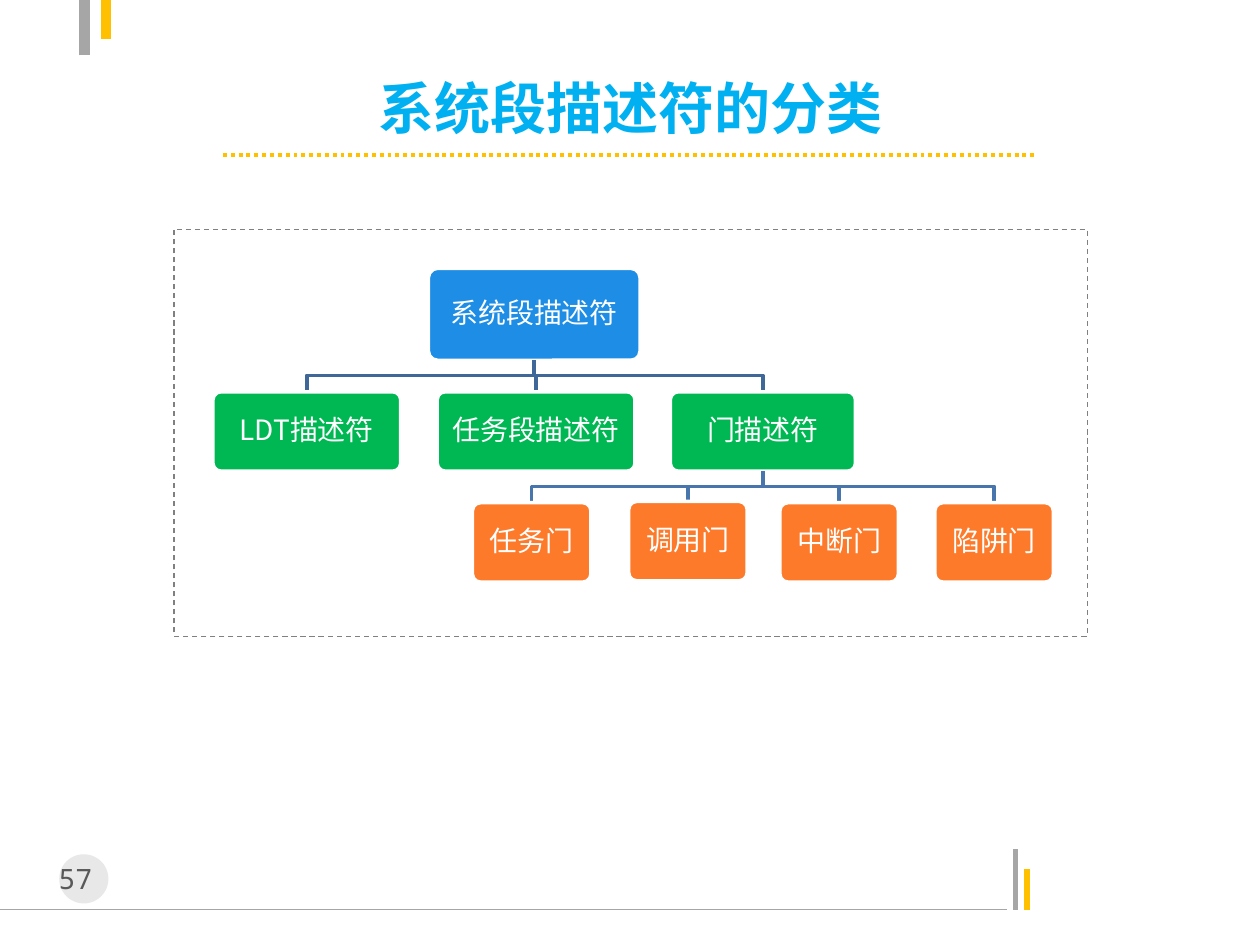
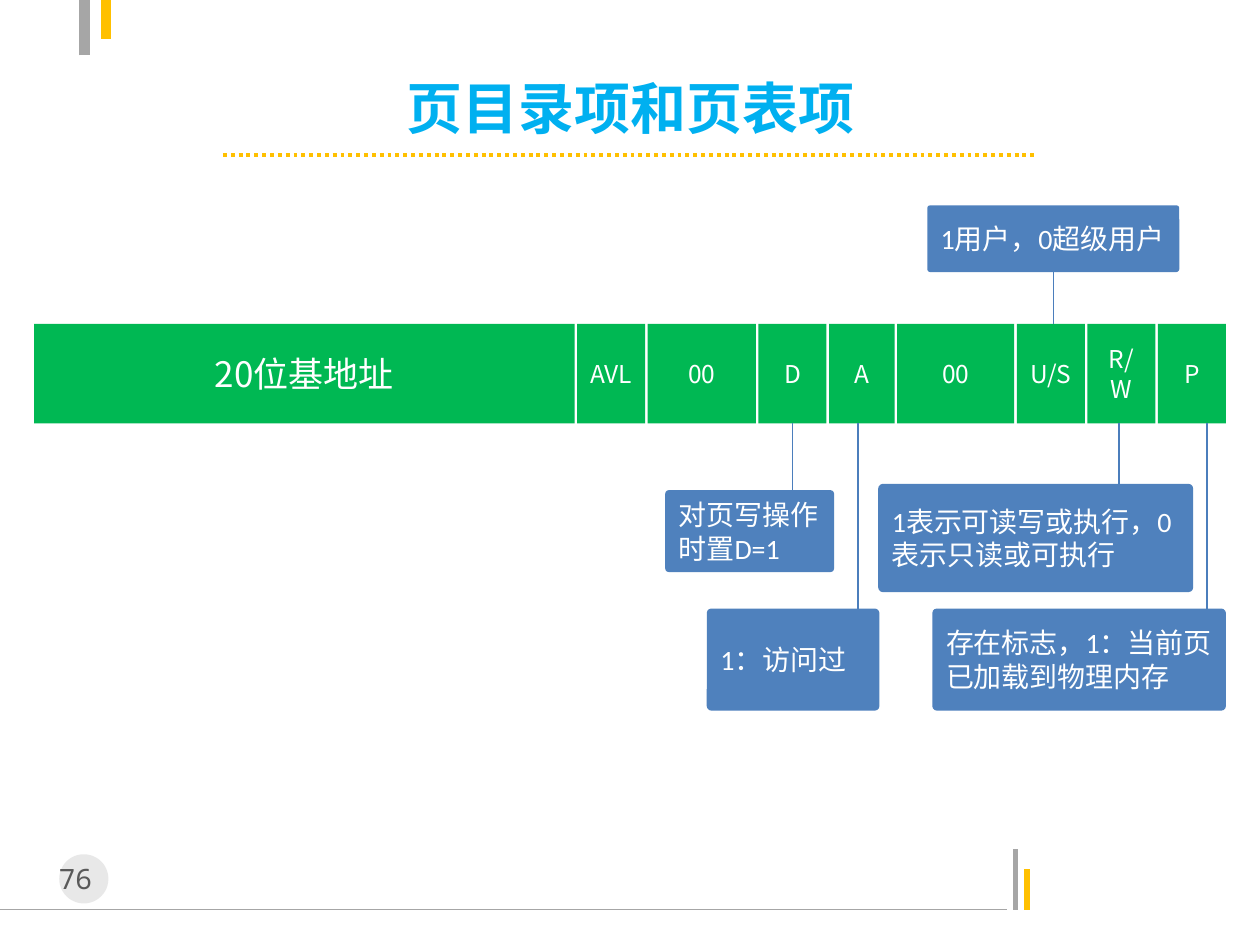
"""Build two slides: a tree of system segment descriptors and the fields of a page table entry."""
from lxml.etree import SubElement
from pptx import Presentation
from pptx.dml.color import RGBColor
from pptx.enum.dml import MSO_LINE as DASH
from pptx.enum.shapes import MSO_CONNECTOR as CONN, MSO_SHAPE as SHAPE
from pptx.enum.text import MSO_ANCHOR as ANCHOR, PP_ALIGN as ALIGN
from pptx.oxml.ns import qn
from pptx.util import Inches, Pt

WHITE = RGBColor(0xFF, 0xFF, 0xFF)
SILVER = RGBColor(0xA6, 0xA6, 0xA6)
DISC = RGBColor(0xBF, 0xBF, 0xBF)
FRAME = RGBColor(0x80, 0x80, 0x80)
PAGE_INK = RGBColor(0x59, 0x59, 0x59)
GOLD = RGBColor(0xFF, 0xC0, 0x00)
SKY = RGBColor(0x00, 0xB0, 0xF0)
BLUE = RGBColor(0x1D, 0x8D, 0xE5)
GREEN = RGBColor(0x00, 0xB8, 0x53)
ORANGE = RGBColor(0xFD, 0x7A, 0x2A)
BRANCH_DARK = RGBColor(0x3F, 0x67, 0x97)
BRANCH_LIGHT = RGBColor(0x48, 0x75, 0xAC)
NOTE_FILL = RGBColor(0x4F, 0x81, 0xBD)
NOTE_LINE = RGBColor(0x4B, 0x7E, 0xBC)

CJK, MONO, LATIN = "Noto Sans CJK SC", "Noto Sans Mono", "Calibri"

DECOR_LINES = [
    ((0, 7.22), (7.99, 7.22), SILVER, 0.75),
    ((8.06, 7.22), (8.06, 6.74), SILVER, 3),
    ((8.15, 7.22), (8.15, 6.9), GOLD, 3),
    ((0.67, 0.44), (0.67, 0), SILVER, 6),
    ((0.84, 0), (0.84, 0.31), GOLD, 6),
]

ROOT = ("系统段描述符", (3.4, 2.13, 1.68, 0.73))
KINDS = [
    ("LDT描述符", (1.69, 3.11, 1.49, 0.63)),
    ("任务段描述符", (3.47, 3.11, 1.57, 0.63)),
    ("门描述符", (5.32, 3.11, 1.47, 0.63)),
]
GATES = [
    ("任务门", (3.75, 3.99, 0.94, 0.63)),
    ("调用门", (4.99, 3.98, 0.94, 0.63)),
    ("中断门", (6.19, 3.99, 0.94, 0.63)),
    ("陷阱门", (7.42, 3.99, 0.94, 0.63)),
]
FRAME_BOX = (1.38, 1.82, 7.25, 3.23)
BRANCH_DROP = 0.12

FIELDS = [
    ("20位基地址", 4.29, 20), ("AVL", 0.54, 14), ("00", 0.86, 14),
    ("D", 0.54, 14), ("A", 0.52, 14), ("00", 0.93, 14),
    ("U/S", 0.54, 14), ("R/W", 0.54, 14), ("P", 0.54, 14),
]
FIELD_LEFT, FIELD_TOP, FIELD_HEIGHT, FIELD_GAP = 0.27, 2.57, 0.79, 0.02

NOTES = [
    ("存在标志，1：当前页已加载到物理内存", (7.4, 4.83, 2.33, 0.81), 9.58),
    ("1：访问过", (5.61, 4.83, 1.37, 0.81), 6.81),
    ("1用户，0超级用户", (7.36, 1.63, 2, 0.53), 8.36),
    ("对页写操作时置D=1", (5.28, 3.89, 1.34, 0.65), 6.29),
    ("1表示可读写或执行，0表示只读或可执行", (6.97, 3.84, 2.5, 0.86), 8.88),
]


def write(sp, text, size, color, font=CJK, align=ALIGN.CENTER, bold=False, spacing=None):
    p = sp.text_frame.paragraphs[0]
    p.alignment = align
    if spacing:
        p.line_spacing = spacing
    r = p.add_run()
    r.text = text
    f = r.font
    f.size, f.name, f.bold = Pt(size), font, bold
    f.color.rgb = color
    SubElement(f._element, qn("a:ea"), typeface=CJK)


def add_box(slide, kind, box, fill=None, line=None, width=1.0):
    sp = slide.shapes.add_shape(kind, *map(Inches, box))
    sp.shadow.inherit = False
    if fill is None:
        sp.fill.background()
    else:
        sp.fill.solid()
        sp.fill.fore_color.rgb = fill
    if line is None:
        sp.line.fill.background()
    else:
        sp.line.color.rgb = line
        sp.line.width = Pt(width)
    tf = sp.text_frame
    tf.word_wrap = True
    tf.vertical_anchor = ANCHOR.MIDDLE
    return sp


def add_line(slide, start, end, color, width):
    c = slide.shapes.add_connector(CONN.STRAIGHT, *map(Inches, start + end))
    c.line.color.rgb = color
    c.line.width = Pt(width)
    SubElement(c._element.spPr, qn("a:effectLst"))
    return c


def add_text(slide, box, wrap):
    sp = slide.shapes.add_textbox(*map(Inches, box))
    sp.text_frame.word_wrap = wrap
    return sp


def start_slide(prs, title, number):
    slide = prs.slides.add_slide(prs.slide_layouts[6])
    for spec_line in DECOR_LINES:
        add_line(slide, *spec_line)
    disc = add_box(slide, SHAPE.OVAL, (0.47, 6.78, 0.39, 0.39), DISC)
    SubElement(disc._element.spPr.find(".//" + qn("a:srgbClr")), qn("a:alpha"), val="35000")
    write(add_text(slide, (0.31, 6.79, 0.71, 0.37), True), f"{number} ", 16, PAGE_INK, MONO)
    heading = add_text(slide, (1.38, 0.6, 7.25, 0.5), False)
    heading.text_frame.vertical_anchor = ANCHOR.MIDDLE
    write(heading, title, 32, SKY, bold=True)
    add_line(slide, (1.77, 1.23), (8.23, 1.23), GOLD, 2.25).line.dash_style = DASH.ROUND_DOT
    return slide


def add_node(slide, node, fill):
    text, box = node
    sp = add_box(slide, SHAPE.ROUNDED_RECTANGLE, box, fill, WHITE, 2)
    sp.adjustments[0] = 0.1
    tf = sp.text_frame
    tf.margin_left = tf.margin_right = tf.margin_top = tf.margin_bottom = Inches(0.07)
    write(sp, text, 16, WHITE, spacing=0.9)


def add_branch(slide, parent, child, color):
    (px, py, pw, ph), (cx, cy, cw, _) = parent[1], child[1]
    x1, y1, x2 = px + pw / 2, py + ph, cx + cw / 2
    bend = y1 + BRANCH_DROP
    builder = slide.shapes.build_freeform(Inches(x1), Inches(y1))
    corners = [(x1, bend), (x2, bend), (x2, cy)]
    builder.add_line_segments([(Inches(x), Inches(y)) for x, y in corners], close=False)
    sp = builder.convert_to_shape()
    sp.shadow.inherit = False
    sp.fill.background()
    sp.line.color.rgb = color
    sp.line.width = Pt(2)


def build_tree(prs):
    slide = start_slide(prs, "系统段描述符的分类", 57)
    levels = [(ROOT, KINDS, BRANCH_DARK, GREEN), (KINDS[-1], GATES, BRANCH_LIGHT, ORANGE)]
    add_node(slide, ROOT, BLUE)
    for parent, children, branch, fill in levels:
        for child in children:
            add_branch(slide, parent, child, branch)
            add_node(slide, child, fill)
    frame = add_box(slide, SHAPE.RECTANGLE, FRAME_BOX, line=FRAME, width=0.75)
    frame.line.dash_style = DASH.DASH


def build_entry(prs):
    slide = start_slide(prs, "页目录项和页表项", 76)
    x, fields = FIELD_LEFT, {}
    for name, width, size in FIELDS:
        cell = add_box(slide, SHAPE.RECTANGLE, (x, FIELD_TOP, width, FIELD_HEIGHT), GREEN)
        write(cell, name, size, WHITE)
        fields[name] = cell
        x += width + FIELD_GAP
    bottom = FIELD_TOP + FIELD_HEIGHT
    for text, box, line_x in NOTES:
        note = add_box(slide, SHAPE.ROUNDED_RECTANGLE, box, NOTE_FILL)
        note.adjustments[0] = 0.044
        write(note, text, 16, WHITE, LATIN, ALIGN.LEFT)
        top, height = box[1], box[3]
        above = top < FIELD_TOP
        y1, y2 = (top + height, FIELD_TOP) if above else (bottom, top)
        c = add_line(slide, (line_x, y1), (line_x, y2), NOTE_LINE, 0.75)
        if above:
            c.begin_connect(note, 2)
        elif text.endswith("D=1"):
            c.begin_connect(fields["D"], 2)


def main():
    prs = Presentation()
    prs.slide_width, prs.slide_height = Inches(10), Inches(7.5)
    build_tree(prs)
    build_entry(prs)
    prs.save("out.pptx")


if __name__ == "__main__":
    main()
